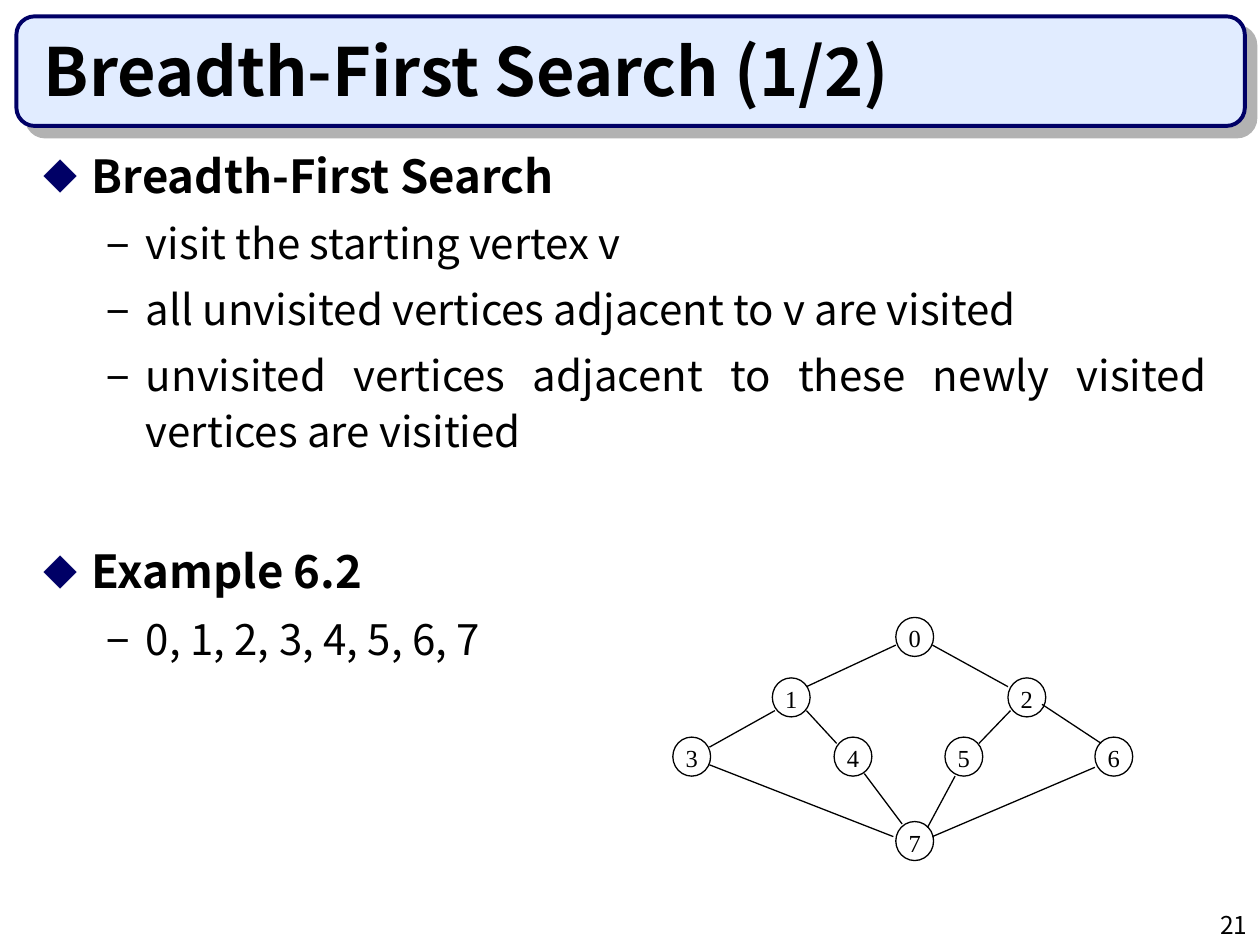
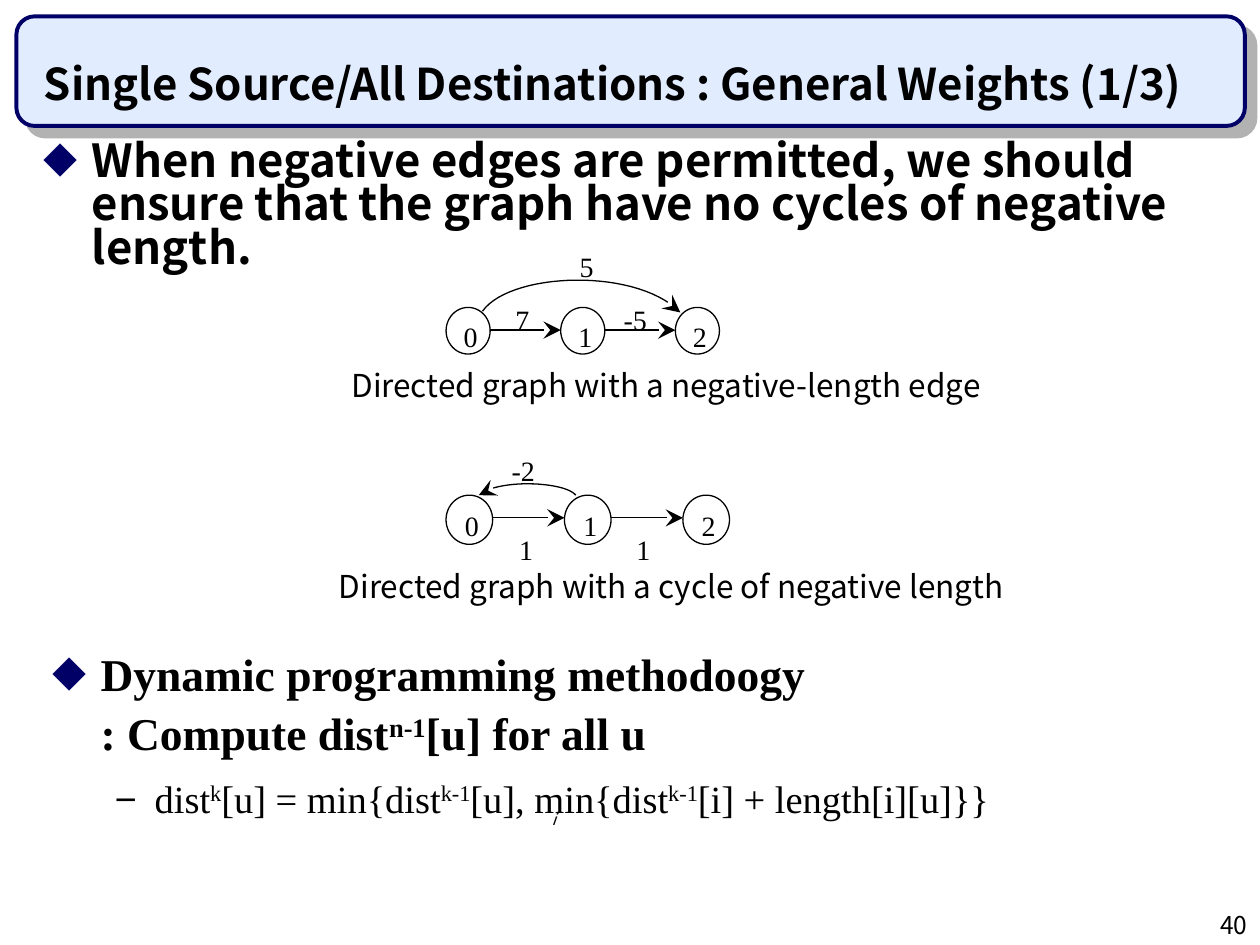
"""Build two lecture slides on breadth-first search and shortest paths with general weights."""
import lxml.etree
import pptx
import pptx.dml.color
import pptx.enum.shapes
import pptx.enum.text
import pptx.oxml
import pptx.oxml.ns
import pptx.util

Inches = pptx.util.Inches
Pt = pptx.util.Pt
RGBColor = pptx.dml.color.RGBColor
Shape = pptx.enum.shapes.MSO_SHAPE
Anchor = pptx.enum.text.MSO_ANCHOR
Align = pptx.enum.text.PP_ALIGN
qn = pptx.oxml.ns.qn

BLACK = RGBColor(0x00, 0x00, 0x00)
WHITE = RGBColor(0xFF, 0xFF, 0xFF)
NAVY = RGBColor(0x00, 0x00, 0x66)
PALE_BLUE = RGBColor(0xE1, 0xEC, 0xFF)
SHADOW_GREY = RGBColor(0xB2, 0xB2, 0xB2)
SANS = "Noto Sans CJK KR"
SERIF = "Times New Roman"
DRAWING = 'xmlns:a="http://schemas.openxmlformats.org/drawingml/2006/main"'

DIAMOND = {"char": "◆", "color": NAVY, "percent": 75, "margin": 0.38, "indent": -0.38}
DASH = {"char": "−", "color": BLACK, "percent": 100, "margin": 0.81, "indent": -0.31}
JUSTIFIED = {"alignment": Align.JUSTIFY, "line_spacing": 1.1}
CENTRED = {"alignment": Align.CENTER}
HEAD_FONT = {"size": Pt(26), "bold": True}
ITEM_FONT = {"size": Pt(24)}


def write(frame, lines, insets=(0.1, 0.05, 0.1, 0.05), anchor=Anchor.TOP, wrap=True):
    """Fill a frame with (text, font, paragraph format, bullet) lines; ^ toggles superscript."""
    frame.word_wrap = wrap
    frame.vertical_anchor = anchor
    for side, inset in zip(("left", "top", "right", "bottom"), insets):
        setattr(frame, f"margin_{side}", Inches(inset))
    for number, (text, font, layout, bullet) in enumerate(lines):
        para = frame.add_paragraph() if number else frame.paragraphs[0]
        if bullet:
            properties = para._p.get_or_add_pPr()
            properties.set("marL", str(Inches(bullet["margin"])))
            properties.set("indent", str(Inches(bullet["indent"])))
            if "char" in bullet:
                for markup in (
                    f'<a:buClr {DRAWING}><a:srgbClr val="{bullet["color"]}"/></a:buClr>',
                    f'<a:buSzPct {DRAWING} val="{bullet["percent"] * 1000}"/>',
                    f'<a:buFont {DRAWING} typeface="{SANS}"/>',
                    f'<a:buChar {DRAWING} char="{bullet["char"]}"/>',
                ):
                    properties.append(pptx.oxml.parse_xml(markup))
        for name, value in layout.items():
            setattr(para, name, value)
        for index, piece in enumerate(text.split("^")):
            span = para.add_run()
            span.text = piece
            span.font.color.rgb = BLACK
            for name, value in {"name": SANS, **font}.items():
                setattr(span.font, name, value)
            if index % 2:
                span.font._element.set("baseline", "30000")


def draw_edge(page, points, arrow=False):
    """Draw a thin edge: a connector for two points, a curve for four control points."""
    if len(points) == 2:
        (x1, y1), (x2, y2) = points
        edge = page.shapes.add_connector(
            pptx.enum.shapes.MSO_CONNECTOR.STRAIGHT, Inches(x1), Inches(y1), Inches(x2), Inches(y2)
        )
        lxml.etree.SubElement(edge._element.spPr, qn("a:effectLst"))
    else:
        steps = [step / 30 for step in range(31)]
        curve = [
            tuple(
                Inches((1 - t) ** 3 * a + 3 * (1 - t) ** 2 * t * b + 3 * (1 - t) * t**2 * c + t**3 * d)
                for a, b, c, d in zip(*points)
            )
            for t in steps
        ]
        outline = page.shapes.build_freeform(*curve[0])
        outline.add_line_segments(curve[1:], close=False)
        edge = outline.convert_to_shape()
        edge.shadow.inherit = False
        edge.fill.background()
    edge.line.color.rgb = BLACK
    edge.line.width = Pt(0.75)
    if arrow:
        head = lxml.etree.SubElement(edge.line._get_or_add_ln(), qn("a:tailEnd"))
        for name, value in {"type": "stealth", "w": "lg", "len": "lg"}.items():
            head.set(name, value)


deck = pptx.Presentation()
deck.slide_width, deck.slide_height = Inches(10), Inches(7.5)

pages = []
for title, title_size, page_number in (
    ("Breadth-First Search (1/2)", 38, "21"),
    ("Single Source/All Destinations : General Weights (1/3)", 25, "40"),
):
    page = deck.slides.add_slide(deck.slide_layouts[6])
    pages.append(page)
    band = page.shapes.add_shape(
        Shape.ROUNDED_RECTANGLE, Inches(0.13), Inches(0.13), Inches(9.75), Inches(0.87)
    )
    band.adjustments[0] = 0.167
    band.fill.solid()
    band.fill.fore_color.rgb = PALE_BLUE
    band.line.color.rgb = NAVY
    band.line.width = Pt(2.25)
    band.shadow.inherit = False
    effects = band._element.spPr.find(qn("a:effectLst"))
    effects.append(pptx.oxml.parse_xml(
        f'<a:outerShdw {DRAWING} dist="{Pt(8.5)}" dir="2700000" algn="ctr" rotWithShape="0">'
        f'<a:srgbClr val="{SHADOW_GREY}"/></a:outerShdw>'
    ))
    number_box = page.shapes.add_textbox(Inches(7.92), Inches(7.17), Inches(2.08), Inches(0.33))
    write(number_box.text_frame, [(page_number, {"size": Pt(14)}, {"alignment": Align.RIGHT}, None)])
    title_box = page.shapes.add_textbox(Inches(0.25), Inches(0.25), Inches(9.42), Inches(0.67))
    title_font = {"size": Pt(title_size), "bold": True}
    write(title_box.text_frame, [(title, title_font, {}, None)], anchor=Anchor.BOTTOM)

search_page, weights_page = pages

item = {**JUSTIFIED, "space_before": Pt(6)}
search_lines = [
    ("Breadth-First Search", HEAD_FONT, JUSTIFIED, DIAMOND),
    ("visit the starting vertex v", ITEM_FONT, item, DASH),
    ("all unvisited vertices adjacent to v are visited", ITEM_FONT, item, DASH),
    ("unvisited vertices adjacent to these newly visited vertices are visitied", ITEM_FONT, item, DASH),
    ("Example 6.2", HEAD_FONT, {**JUSTIFIED, "space_before": Pt(47)}, DIAMOND),
    ("0, 1, 2, 3, 4, 5, 6, 7", ITEM_FONT, item, DASH),
]
search_box = search_page.shapes.add_textbox(Inches(0.25), Inches(1.08), Inches(9.42), Inches(5.03))
write(search_box.text_frame, search_lines)

weights_box = weights_page.shapes.add_textbox(Inches(0.25), Inches(1.08), Inches(9.42), Inches(1.2))
write(weights_box.text_frame, [(
    "When negative edges are permitted, we should ensure that the graph have no cycles of negative length.",
    HEAD_FONT, {"line_spacing": 0.8}, DIAMOND,
)])

tree_nodes = [
    (7.11, 4.9), (6.13, 5.38), (8, 5.38), (5.34, 5.85),
    (6.62, 5.85), (7.5, 5.85), (8.69, 5.85), (7.11, 6.52),
]
cost_graphs = [
    {
        "top": 2.44, "width": 0.35, "height": 0.37, "pitch": 0.91,
        "curve": [(3.83, 2.47), (4.05, 2.16), (5.05, 2.12), (5.4, 2.48)],
        "costs": [("5", 4.6, 1.98), ("7", 4.09, 2.4), ("-5", 4.95, 2.4)],
        "caption": ("Directed graph with a negative-length edge", 2.69, 2.86, 5.31),
    },
    {
        "top": 3.93, "width": 0.37, "height": 0.39, "pitch": 0.94,
        "curve": [(4.57, 3.93), (4.48, 3.82), (3.95, 3.8), (3.8, 3.93)],
        "costs": [("1", 4.12, 4.23), ("1", 5.05, 4.23), ("-2", 4.06, 3.6)],
        "caption": ("Directed graph with a cycle of negative length", 2.59, 4.45, 5.58),
    },
]

node_groups = [(search_page, tree_nodes, 0.3, 0.31, 14, (0, 0.02, 0, 0), True)]
for graph in cost_graphs:
    spots = [(3.54 + graph["pitch"] * place, graph["top"]) for place in range(3)]
    node_groups.append(
        (weights_page, spots, graph["width"], graph["height"], 16, (0.04, 0.09, 0, 0), False)
    )
for page, spots, width, height, size, insets, filled in node_groups:
    for label, (left, top) in enumerate(spots):
        node = page.shapes.add_shape(
            Shape.OVAL, Inches(left), Inches(top), Inches(width), Inches(height)
        )
        node.shadow.inherit = False
        node.line.color.rgb = BLACK
        node.line.width = Pt(0.75)
        if filled:
            node.fill.solid()
            node.fill.fore_color.rgb = WHITE
        else:
            node.fill.background()
        label_font = {"name": SERIF, "size": Pt(size)}
        write(node.text_frame, [(str(label), label_font, CENTRED, None)], insets, Anchor.MIDDLE, False)

for tree_edge in (
    [(7.11, 5.12), (6.4, 5.45)],
    [(6.15, 5.64), (5.63, 5.93)],
    [(6.4, 5.64), (6.64, 5.9)],
    [(7.4, 5.12), (8, 5.45)],
    [(8.27, 5.59), (8.74, 5.9)],
    [(8.02, 5.64), (7.77, 5.9)],
    [(6.86, 6.14), (7.16, 6.54)],
    [(5.63, 6.07), (7.09, 6.64)],
    [(7.58, 6.16), (7.36, 6.57)],
    [(8.69, 6.09), (7.4, 6.64)],
):
    draw_edge(search_page, tree_edge)

for graph in cost_graphs:
    middle = graph["top"] + 0.18
    for place in range(2):
        start = 3.54 + graph["pitch"] * place
        draw_edge(
            weights_page, [(start + graph["width"], middle), (start + graph["pitch"], middle)], arrow=True
        )
    draw_edge(weights_page, graph["curve"], arrow=True)
    for cost, left, top in graph["costs"]:
        cost_box = weights_page.shapes.add_textbox(
            Inches(left), Inches(top), Inches(0.11 if len(cost) == 1 else 0.19), Inches(0.27)
        )
        cost_font = {"name": SERIF, "size": Pt(16)}
        write(cost_box.text_frame, [(cost, cost_font, {}, None)], (0, 0, 0, 0), wrap=False)
    caption, left, top, width = graph["caption"]
    caption_box = weights_page.shapes.add_textbox(Inches(left), Inches(top), Inches(width), Inches(0.4))
    write(caption_box.text_frame, [(caption, {"size": Pt(18)}, {}, None)])

serif_head = {**HEAD_FONT, "name": SERIF}
method_lines = [
    ("Dynamic programming methodoogy", serif_head, {**JUSTIFIED, "line_spacing": 0.8}, DIAMOND),
    (
        ": Compute dist^n-1^[u] for all u", serif_head,
        {**JUSTIFIED, "line_spacing": 0.9, "space_before": Pt(6.5)}, {"margin": 0.38, "indent": 0},
    ),
    (
        "dist^k^[u] = min{dist^k-1^[u], min{dist^k-1^[i] + length[i][u]}}",
        {"name": SERIF, "size": Pt(22)}, {**JUSTIFIED, "space_before": Pt(5.5)}, DASH,
    ),
]
method_box = weights_page.shapes.add_textbox(Inches(0.32), Inches(5.16), Inches(8.46), Inches(1.59))
write(method_box.text_frame, method_lines)
index_box = weights_page.shapes.add_textbox(Inches(4.28), Inches(6.38), Inches(0.23), Inches(0.25))
write(index_box.text_frame, [("i", {"size": Pt(9), "italic": True}, {}, None)], wrap=False)

deck.save("out.pptx")
